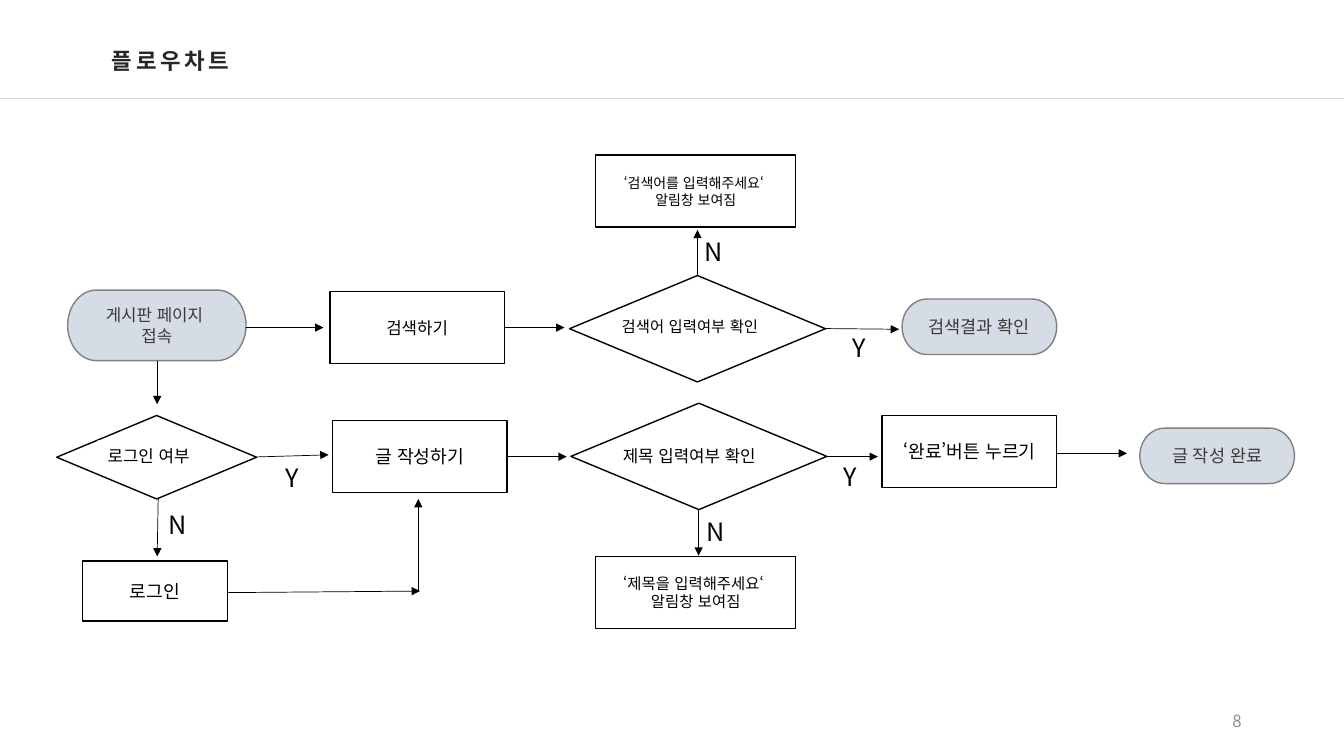
import pptx
import pptx.dml.color
import pptx.enum.shapes
import pptx.enum.text
import pptx.oxml.ns
import pptx.util
from lxml import etree

Pt = pptx.util.Pt
SHAPE = pptx.enum.shapes.MSO_SHAPE
ALIGN = pptx.enum.text.PP_ALIGN
ANCHOR = pptx.enum.text.MSO_ANCHOR
qn = pptx.oxml.ns.qn

# Content: all lengths in points
FONT = "Noto Sans CJK KR"
BLACK, WHITE = "000000", "FFFFFF"
SLIDE_SIZE = (960, 540)
RULE_Y = 70
TITLE = ("플로우차트", 72.7, 30.2, 108, 26.6)
PAGE_NUMBER = ("8", 678, 500.4, 216, 28.8)

# Kind: shape, fill, outline, text colour
KINDS = {
    "terminal": (SHAPE.FLOWCHART_TERMINATOR, "D6DCE5", "808080", "3B3838"),
    "step": (SHAPE.RECTANGLE, WHITE, BLACK, BLACK),
    "decision": (SHAPE.DIAMOND, WHITE, BLACK, BLACK),
}
# Kind, left, top, width, height, text size, lines
NODES = [
    ("terminal", 48.4, 207.2, 127.4, 50.4, 12, ["게시판 페이지 ", "접속"]),
    ("terminal", 644.4, 213.6, 110.4, 39.6, 12.5, ["검색결과 확인"]),
    ("terminal", 814.2, 305.8, 110.4, 39.6, 12.5, ["글 작성 완료"]),
    ("step", 235.6, 208.2, 124.8, 51.4, 12, ["검색하기"]),
    ("step", 237.4, 300.4, 124.8, 51.4, 13, ["글 작성하기"]),
    ("step", 630, 296.8, 124.8, 51.4, 13, ["‘완료’버튼 누르기"]),
    ("step", 58.8, 400.8, 103.8, 42.8, 13, ["로그인"]),
    ("step", 425.6, 110.8, 142.8, 51.4, 10, ["‘검색어를 입력해주세요‘ ", "알림창 보여짐"]),
    ("step", 425.6, 397.5, 142.8, 51.4, 11, ["‘제목을 입력해주세요‘ ", "알림창 보여짐"]),
    ("decision", 40.5, 296.8, 142.8, 59.6, None, []),
    ("decision", 406.8, 196.8, 182.8, 76, None, []),
    ("decision", 407.8, 288, 182.8, 76, None, []),
]
# Question in each decision: text, left, top, width, height, text size
QUESTIONS = [
    ("로그인 여부", 69.8, 314.6, 79.2, 21.6, 12),
    ("검색어 입력여부 확인", 437, 223.2, 121, 20.9, 11),
    ("제목 입력여부 확인", 437.8, 314.6, 120.2, 21.6, 12),
]
# Answer beside an arrow: text, left, top
ANSWERS = [
    ("Y", 196.6, 326.9), ("Y", 601.9, 234), ("Y", 595.4, 326.2),
    ("N", 113, 360), ("N", 496.1, 165.6), ("N", 497.5, 365.4),
]
# Arrow: from x, y to x, y
ARROWS = [
    (112.3, 257.6, 112.3, 288.8), (183.3, 326.4, 234.7, 324.9),
    (590.4, 326.2, 627.1, 326.2), (113, 356.4, 112.3, 397.5),
    (175.8, 234, 231.1, 234), (360.4, 234, 403.2, 234),
    (498.2, 196.8, 498.2, 164.2), (589.3, 234.7, 642.2, 235.2),
    (362.2, 326.2, 404.8, 326.2), (499, 364, 499, 396.9),
    (754.8, 323.8, 805, 323.8), (162.6, 423.3, 300, 422.2),
    (298.8, 422.2, 298.8, 356.4),
]


def color(hex_string):
    return pptx.dml.color.RGBColor.from_string(hex_string)


def add_run(paragraph, text, size, text_color, bold=False):
    run = paragraph.add_run()
    run.text = text
    run.font.size = Pt(size)
    run.font.bold = bold
    run.font.name = FONT
    run.font.color.rgb = color(text_color)
    properties = run.font._element
    properties.set("lang", "ko-KR")
    etree.SubElement(properties, qn("a:ea")).set("typeface", FONT)
    return run


def add_label(text, left, top, width, height, size, text_color=BLACK,
              align=ALIGN.LEFT, anchor=ANCHOR.TOP):
    label = slide.shapes.add_textbox(*map(Pt, (left, top, width, height)))
    frame = label.text_frame
    frame.word_wrap = True
    frame.vertical_anchor = anchor
    frame.paragraphs[0].alignment = align
    add_run(frame.paragraphs[0], text, size, text_color)
    return label


def add_node(kind, left, top, width, height, size, lines):
    preset, fill, outline, text_color = KINDS[kind]
    node = slide.shapes.add_shape(preset, *map(Pt, (left, top, width, height)))
    node.shadow.inherit = False
    node.fill.solid()
    node.fill.fore_color.rgb = color(fill)
    node.line.color.rgb = color(outline)
    node.line.width = Pt(1)
    frame = node.text_frame
    frame.word_wrap = True
    frame.vertical_anchor = ANCHOR.MIDDLE
    for index, line in enumerate(lines):
        paragraph = frame.add_paragraph() if index else frame.paragraphs[0]
        paragraph.alignment = ALIGN.CENTER
        add_run(paragraph, line, size, text_color)


def add_line(start_x, start_y, end_x, end_y, line_color, arrow=False):
    connector = slide.shapes.add_connector(
        pptx.enum.shapes.MSO_CONNECTOR.STRAIGHT,
        *map(Pt, (start_x, start_y, end_x, end_y)))
    connector.line.color.rgb = color(line_color)
    connector.line.width = Pt(0.5)
    if arrow:
        outline = connector.line._get_or_add_ln()
        etree.SubElement(outline, qn("a:tailEnd")).set("type", "triangle")
    etree.SubElement(connector._element.spPr, qn("a:effectLst"))


deck = pptx.Presentation()
deck.slide_width, deck.slide_height = map(Pt, SLIDE_SIZE)
slide = deck.slides.add_slide(deck.slide_layouts[5])

# Title, rule below it and page number
title_text, *title_box = TITLE
title = slide.shapes.title
title.left, title.top, title.width, title.height = map(Pt, title_box)
title_frame = title.text_frame
title_frame.word_wrap = True
title_frame.auto_size = pptx.enum.text.MSO_AUTO_SIZE.NONE
title_frame.vertical_anchor = ANCHOR.TOP
title_frame.paragraphs[0].alignment = ALIGN.LEFT
title_run = add_run(title_frame.paragraphs[0], title_text, 16, "262626", bold=True)
title_run.font._element.set("spc", "270")
add_line(0, RULE_Y, SLIDE_SIZE[0], RULE_Y, "D9D9D9")
add_label(*PAGE_NUMBER, 12, "8C8C8C", ALIGN.RIGHT, ANCHOR.MIDDLE)

# Flow: nodes, decision questions, arrows and answers
for node_spec in NODES:
    add_node(*node_spec)
for question_spec in QUESTIONS:
    question = add_label(*question_spec)
    question.fill.solid()
    question.fill.fore_color.rgb = color(WHITE)
for arrow_ends in ARROWS:
    add_line(*arrow_ends, BLACK, arrow=True)
for answer, left, top in ANSWERS:
    add_label(answer, left, top, 28, 28.8, 18)

deck.save("out.pptx")
